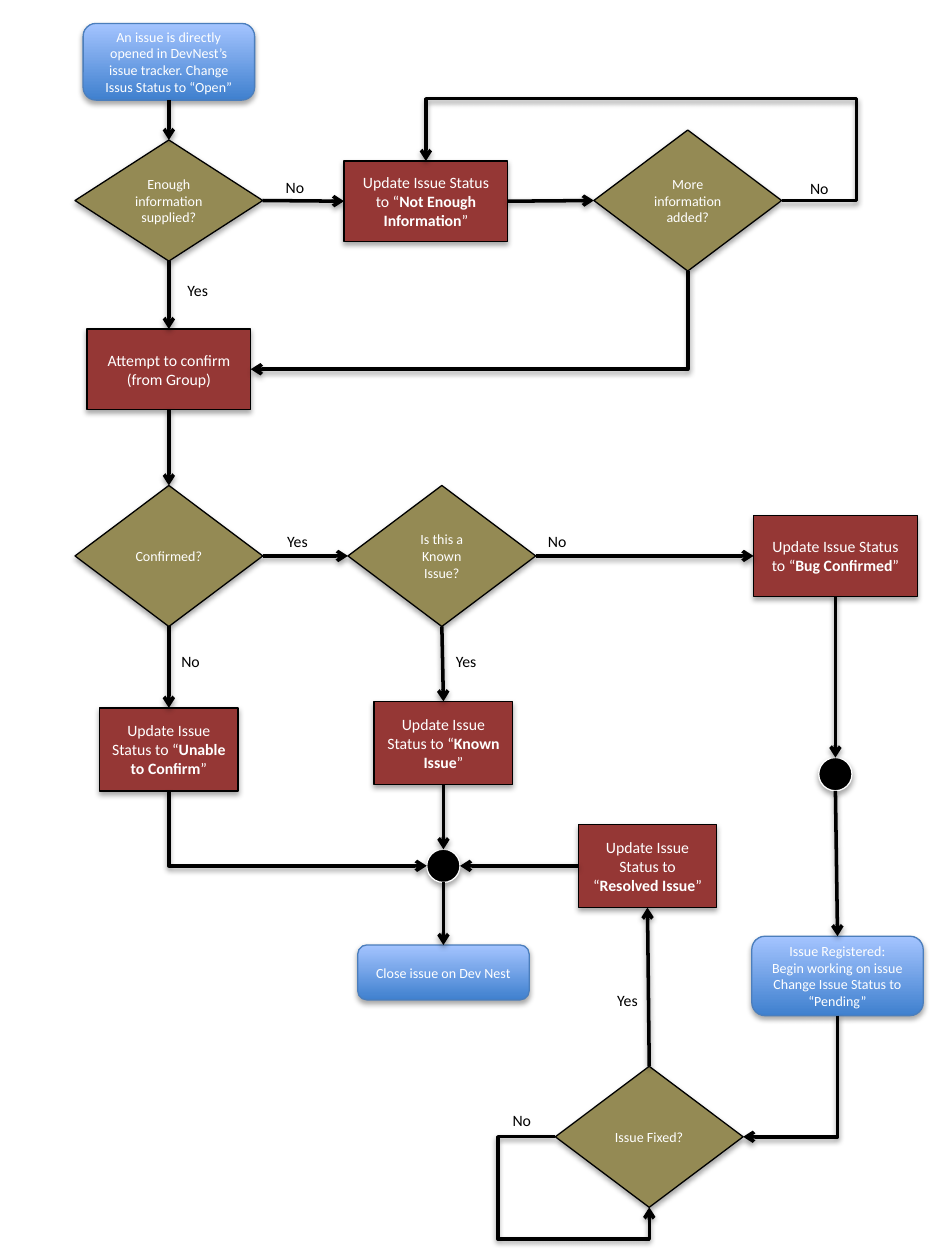
import lxml.etree
import pptx
import pptx.dml.color
import pptx.enum.shapes
import pptx.enum.text
import pptx.oxml.ns
import pptx.util

Pt = pptx.util.Pt
qn = pptx.oxml.ns.qn
MSO = pptx.enum.shapes.MSO_SHAPE
TOP, LEFT, BOTTOM, RIGHT = range(4)


def colour(hex_code):
    return pptx.dml.color.RGBColor.from_string(hex_code)


class Flowchart:
    """Style and current slide; positions are given as centre points."""
    font = "Calibri"
    white, black = "FFFFFF", "000000"
    red, olive = "953735", "948A54"
    blue_edge, blue_bottom, blue_top = "4B7EBC", "3F80CE", "A4C4FF"

    def __init__(self, slide):
        self.shapes = slide.shapes

    def shadow(self, properties, distance, opacity):
        effects = properties.find(qn("a:effectLst"))
        if effects is None:
            effects = lxml.etree.SubElement(properties, qn("a:effectLst"))
        outer = lxml.etree.SubElement(
            effects, qn("a:outerShdw"), blurRad=str(Pt(3.15)),
            dist=str(Pt(distance)), dir="5400000", rotWithShape="0")
        tint = lxml.etree.SubElement(outer, qn("a:srgbClr"), val=self.black)
        lxml.etree.SubElement(tint, qn("a:alpha"), val=str(opacity * 1000))

    def caption(self, frame, text, size, hex_code, align):
        """Line breaks split paragraphs; asterisks enclose bold words."""
        frame.word_wrap = True
        for number, line in enumerate(text.split("\n")):
            paragraph = frame.add_paragraph() if number else frame.paragraphs[0]
            paragraph.alignment = align
            paragraph.font.name = self.font
            paragraph.font.size = Pt(size)
            paragraph.font.color.rgb = colour(hex_code)
            for part, words in enumerate(line.split("*")):
                run = paragraph.add_run()
                run.text = words
                if part % 2:
                    run.font.bold = True

    def node(self, preset, x, y, width, height, fill, edge, text="", size=9):
        node = self.shapes.add_shape(
            preset, Pt(x - width / 2), Pt(y - height / 2), Pt(width), Pt(height))
        node.shadow.inherit = False
        if fill:
            node.fill.solid()
            node.fill.fore_color.rgb = colour(fill)
        else:
            node.fill.gradient()
            node.fill.gradient_angle = 90
            for stop, shade in zip(node.fill.gradient_stops,
                                   (self.blue_bottom, self.blue_top)):
                stop.color.rgb = colour(shade)
        node.line.color.rgb = colour(edge)
        node.line.width = Pt(0.75)
        self.shadow(node._element.spPr, 1.8, 35)
        if text:
            node.text_frame.vertical_anchor = pptx.enum.text.MSO_ANCHOR.MIDDLE
            self.caption(node.text_frame, text, size, self.white,
                         pptx.enum.text.PP_ALIGN.CENTER)
        return node

    def status(self, x, y, text, width=93.6, height=46):
        return self.node(MSO.RECTANGLE, x, y, width, height,
                         self.red, self.black, text)

    def decision(self, x, y, text, height=80.6):
        return self.node(MSO.DIAMOND, x, y, 107.3, height,
                         self.olive, self.black, text, 8)

    def terminal(self, x, y, height, text):
        return self.node(MSO.ROUNDED_RECTANGLE, x, y, 98, height,
                         None, self.blue_edge, text, 8)

    def junction(self, x, y):
        return self.node(MSO.OVAL, x, y, 19, 19, self.black, self.white)

    def label(self, left, top, text):
        box = self.shapes.add_textbox(Pt(left), Pt(top), Pt(39.6), Pt(18))
        self.caption(box.text_frame, text, 9, self.black,
                     pptx.enum.text.PP_ALIGN.LEFT)

    def site(self, node, side):
        across, down = {TOP: (1, 0), LEFT: (0, 1),
                        BOTTOM: (1, 2), RIGHT: (2, 1)}[side]
        return (node.left + node.width * across // 2,
                node.top + node.height * down // 2)

    def finish(self, connector):
        connector.line.color.rgb = colour(self.black)
        connector.line.width = Pt(2)
        properties = connector._element.spPr
        lxml.etree.SubElement(properties.find(qn("a:ln")), qn("a:tailEnd"),
                              type="arrow")
        self.shadow(properties, 1.6, 38)

    def arrow(self, source, out_side, target, in_side):
        connector = self.shapes.add_connector(
            pptx.enum.shapes.MSO_CONNECTOR.STRAIGHT,
            *self.site(source, out_side), *self.site(target, in_side))
        connector.begin_connect(source, out_side)
        connector.end_connect(target, in_side)
        # An oval has eight connection sites, so its sides are every second one
        ends = connector._element.nvCxnSpPr.cNvCxnSpPr
        for node, side, end in ((source, out_side, ends.stCxn),
                                (target, in_side, ends.endCxn)):
            if node.auto_shape_type == MSO.OVAL:
                end.idx = side * 2
        self.finish(connector)

    def elbow(self, source, out_side, target, in_side, lane=None):
        """One bend, or three when a lane (x, y) is given to run along."""
        x1, y1 = self.site(source, out_side)
        x2, y2 = self.site(target, in_side)
        dx, dy = x2 - x1, y2 - y1
        turn = {RIGHT: 0, LEFT: 180, BOTTOM: 90 if dx < 0 else 270}[out_side]
        # Ends as they lie before the turn about the midpoint
        w, h = {0: (dx, dy), 90: (dy, -dx),
                180: (-dx, -dy), 270: (-dy, dx)}[turn]
        x, y = (x1 + x2) / 2, (y1 + y2) / 2
        connector = self.shapes.add_connector(
            pptx.enum.shapes.MSO_CONNECTOR.ELBOW,
            int(x - w / 2), int(y - h / 2), int(x + w / 2), int(y + h / 2))
        properties = connector._element.spPr
        properties.find(qn("a:xfrm")).set("rot", str(turn * 60000))
        geometry = properties.find(qn("a:prstGeom"))
        geometry.set("prst", "bentConnector4" if lane else "bentConnector2")
        if lane:
            guides = geometry.find(qn("a:avLst"))
            shares = (Pt(lane[0]) - x1) / dx, (Pt(lane[1]) - y1) / dy
            for number, share in enumerate(shares, 1):
                lxml.etree.SubElement(guides, qn("a:gd"), name=f"adj{number}",
                                      fmla=f"val {round(share * 100000)}")
        self.finish(connector)


deck = pptx.Presentation()
deck.slide_width, deck.slide_height = Pt(540), Pt(720)
chart = Flowchart(deck.slides.add_slide(deck.slide_layouts[6]))

# Shared columns and rows
intake, known, bug = 96.5, 253.4, 477.4
supply_row, confirm_row, resolve_row = 114.6, 317.7, 494.8
small = dict(width=79.2, height=47.6)

# Intake
opened = chart.terminal(
    intake, 35.3, 43.8, "An issue is directly opened in DevNest’s issue tracker. "
    "Change Issus Status to “Open”")
enough = chart.decision(intake, supply_row, "Enough information supplied?", 69.2)
not_enough = chart.status(243.4, supply_row + 0.4,
                          "Update Issue Status to “*Not Enough Information*”")
more = chart.decision(393, supply_row, "More information added?")
attempt = chart.status(intake, 211, "Attempt to confirm (from Group)")

# Confirmation
confirmed = chart.decision(intake, confirm_row, "Confirmed?")
is_known = chart.decision(252.5, confirm_row, "Is this a Known Issue?")
bug_confirmed = chart.status(bug, confirm_row,
                             "Update Issue Status to “*Bug Confirmed*”")
unable = chart.status(intake, 428.3,
                      "Update Issue Status to “*Unable to Confirm*”", **small)
known_issue = chart.status(known, 424.6,
                           "Update Issue Status to “*Known Issue*”", **small)

# Repair and closing
closing = chart.junction(known, resolve_row)
closed = chart.terminal(known, 555.7, 31.4, "Close issue on Dev Nest")
registering = chart.junction(bug, 442.4)
registered = chart.terminal(
    478.6, 557.7, 45.4, "Issue Registered:\nBegin working on issue\n"
    "Change Issue Status to “Pending”")
fixed = chart.decision(371, 649.6, "Issue Fixed?")
resolved = chart.status(370, resolve_row,
                        "Update Issue Status to “*Resolved Issue*”", **small)

# Straight arrows
for source, out_side, target, in_side in (
        (opened, BOTTOM, enough, TOP), (enough, BOTTOM, attempt, TOP),
        (enough, RIGHT, not_enough, LEFT), (not_enough, RIGHT, more, LEFT),
        (attempt, BOTTOM, confirmed, TOP), (confirmed, BOTTOM, unable, TOP),
        (confirmed, RIGHT, is_known, LEFT), (is_known, BOTTOM, known_issue, TOP),
        (is_known, RIGHT, bug_confirmed, LEFT), (known_issue, BOTTOM, closing, TOP),
        (closing, BOTTOM, closed, TOP), (bug_confirmed, BOTTOM, registering, TOP),
        (registering, BOTTOM, registered, TOP), (fixed, TOP, resolved, BOTTOM),
        (resolved, LEFT, closing, RIGHT)):
    chart.arrow(source, out_side, target, in_side)

# Bent arrows
chart.elbow(more, RIGHT, not_enough, TOP, lane=(489.6, 56.4))
chart.elbow(more, BOTTOM, attempt, RIGHT)
chart.elbow(unable, BOTTOM, closing, LEFT)
chart.elbow(registered, BOTTOM, fixed, RIGHT)
chart.elbow(fixed, LEFT, fixed, BOTTOM, lane=(284.4, 708))

# Answers
for left, top, answer in (
        (156.2, 98, "No"), (455.8, 98.6, "No"), (100, 157, "Yes"),
        (157, 300.2, "Yes"), (306, 300.2, "No"), (96.5, 368.6, "No"),
        (253.4, 368.6, "Yes"), (345.6, 562.3, "Yes"), (285.8, 631.4, "No")):
    chart.label(left, top, answer)

deck.save("out.pptx")
